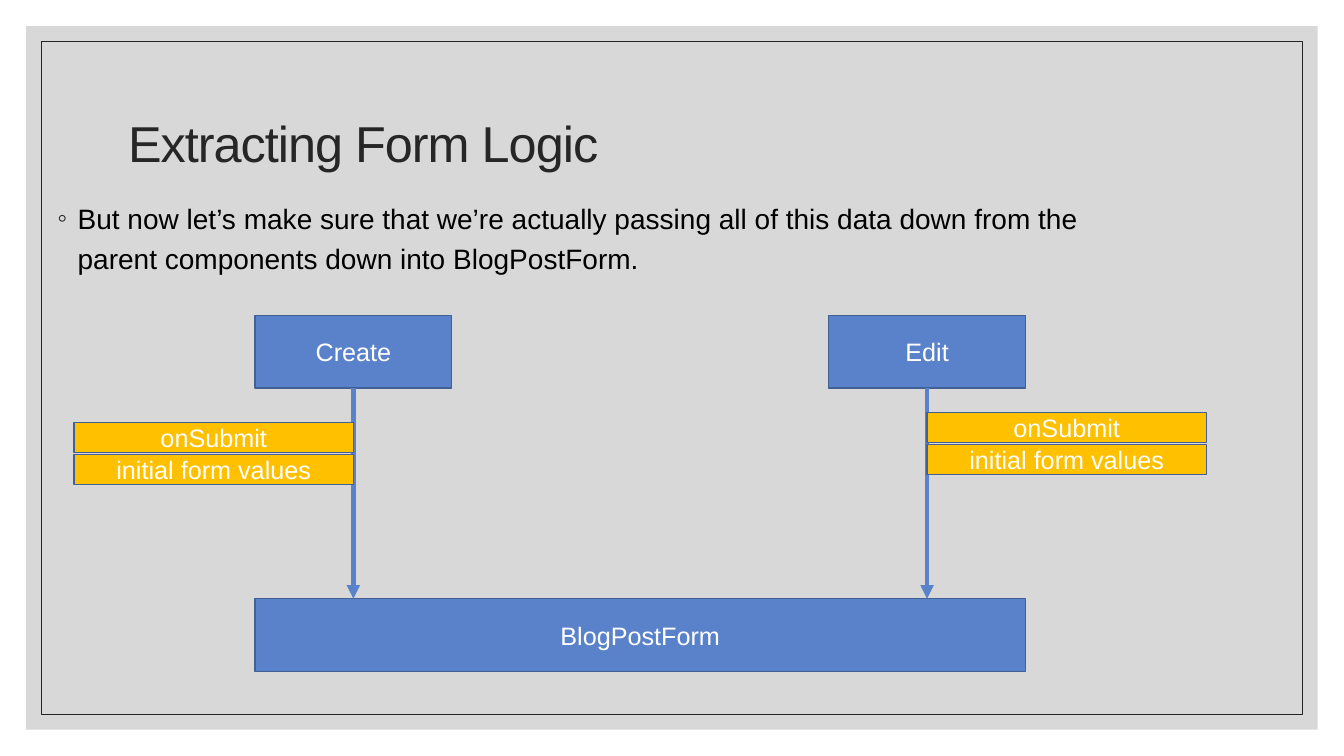
from lxml import etree
from pptx import Presentation
from pptx.dml.color import RGBColor
from pptx.enum.shapes import MSO_CONNECTOR, MSO_SHAPE
from pptx.enum.text import MSO_ANCHOR, MSO_AUTO_SIZE, PP_ALIGN
from pptx.oxml.ns import qn
from pptx.util import Inches, Pt

RECT = MSO_SHAPE.RECTANGLE
STRAIGHT = MSO_CONNECTOR.STRAIGHT
MIDDLE, TOP = MSO_ANCHOR.MIDDLE, MSO_ANCHOR.TOP
CENTER, LEFT = PP_ALIGN.CENTER, PP_ALIGN.LEFT
NO_FIT = MSO_AUTO_SIZE.NONE
FONT = "Arial"
BLUE, EDGE, AMBER = "5A82CB", "436096", "FFC000"
INK, WHITE, GREY, BLACK = "262626", "FFFFFF", "BFBFBF", "000000"
SLIDE_W, SLIDE_H = 13.33, 7.5
NODE_W, NODE_H = 1.95, 0.72
TAG_W, TAG_H, TAG_PITCH = 2.77, 0.3, 0.32
TAGS = ("onSubmit", "initial form values")


def rgb(value):
    return RGBColor.from_string(value)


def style_font(font, size, color):
    font.name = FONT
    font.size = Pt(size)
    font.color.rgb = rgb(color)


def add_rect(slide, box, fill=None, line=None, width=1):
    sp = slide.shapes.add_shape(RECT, *map(Inches, box))
    sp.shadow.inherit = False
    if fill:
        sp.fill.solid()
        sp.fill.fore_color.rgb = rgb(fill)
    else:
        sp.fill.background()
    if line:
        sp.line.color.rgb = rgb(line)
        sp.line.width = Pt(width)
    else:
        sp.line.fill.background()
    return sp


def add_label(slide, box, text, fill):
    sp = add_rect(slide, box, fill, EDGE)
    tf = sp.text_frame
    tf.word_wrap = True
    tf.vertical_anchor = MIDDLE
    tf.text = text
    p = tf.paragraphs[0]
    p.alignment = CENTER
    style_font(p.runs[0].font, 18, WHITE)
    return sp


def add_arrow(slide, start, end):
    cx = slide.shapes.add_connector(STRAIGHT, *map(Inches, start + end))
    cx.line.color.rgb = rgb(BLUE)
    cx.line.width = Pt(3.25)
    etree.SubElement(cx.line._get_or_add_ln(), qn("a:tailEnd"), type="triangle")
    etree.SubElement(cx._element.spPr, qn("a:effectLst"))
    return cx


def add_frame(slide, width, height):
    for i, (inset, fill, line) in enumerate(((0.26, GREY, None), (0.41, None, INK))):
        box = (inset, inset, width - 2 * inset, height - 2 * inset)
        sp = add_rect(slide, box, fill, line, 0.5)
        if fill:
            color = sp._element.spPr.find(qn("a:solidFill"))[0]
            etree.SubElement(color, qn("a:alpha"), val="60000")
        slide.shapes._spTree.insert(2 + i, sp._element)


def fill_placeholder(sp, box, text, anchor):
    sp.left, sp.top, sp.width, sp.height = map(Inches, box)
    tf = sp.text_frame
    tf.text = text
    tf.word_wrap = True
    tf.auto_size = NO_FIT
    tf.vertical_anchor = anchor
    p = tf.paragraphs[0]
    p.alignment = LEFT
    p.space_before = Pt(0)
    return p


def add_title(slide, box, text):
    p = fill_placeholder(slide.shapes.title, box, text, MIDDLE)
    p.line_spacing = 0.9
    font = p.runs[0].font
    style_font(font, 36, INK)
    font._element.set("spc", "-70")


def add_body(slide, box, text):
    p = fill_placeholder(slide.placeholders[1], box, text, TOP)
    pPr = p._p.get_or_add_pPr()
    pPr.set("marL", str(Inches(0.2)))
    pPr.set("indent", str(Inches(-0.2)))
    color = etree.SubElement(pPr, qn("a:buClr"))
    etree.SubElement(color, qn("a:srgbClr"), val=INK)
    etree.SubElement(pPr, qn("a:buFont"), typeface=FONT)
    etree.SubElement(pPr, qn("a:buChar"), char="◦")
    p.line_spacing = 1.2
    style_font(p.runs[0].font, 20, BLACK)


def add_tags(slide, x, y):
    for i, text in enumerate(TAGS):
        add_label(slide, (x, y + i * TAG_PITCH, TAG_W, TAG_H), text, AMBER)


def add_diagram(slide, box):
    x, y, w, h = box
    form_y = y + h - NODE_H
    left_mid, right_mid = x + NODE_W / 2, x + w - NODE_W / 2
    parents = [
        add_label(slide, (mid - NODE_W / 2, y, NODE_W, NODE_H), text, BLUE)
        for mid, text in ((left_mid, "Create"), (right_mid, "Edit"))
    ]
    add_label(slide, (x, form_y, w, NODE_H), "BlogPostForm", BLUE)
    for mid, parent in zip((left_mid, right_mid), parents):
        cx = add_arrow(slide, (mid, y + NODE_H), (mid, form_y))
        cx.begin_connect(parent, 2)
    add_tags(slide, left_mid - TAG_W, y + 1.06)
    add_tags(slide, right_mid, y + 0.96)


def main():
    prs = Presentation()
    prs.slide_width, prs.slide_height = Inches(SLIDE_W), Inches(SLIDE_H)
    slide = prs.slides.add_slide(prs.slide_layouts[1])
    add_frame(slide, SLIDE_W, SLIDE_H)
    add_title(slide, (1.17, 0.7, 11, 1.5), "Extracting Form Logic")
    add_body(
        slide,
        (0.47, 1.88, 10.39, 4.92),
        "But now let’s make sure that we’re actually passing all of this data "
        "down from the parent components down into BlogPostForm.",
    )
    add_diagram(slide, (2.53, 3.13, 7.64, 3.53))
    prs.save("out.pptx")


if __name__ == "__main__":
    main()
